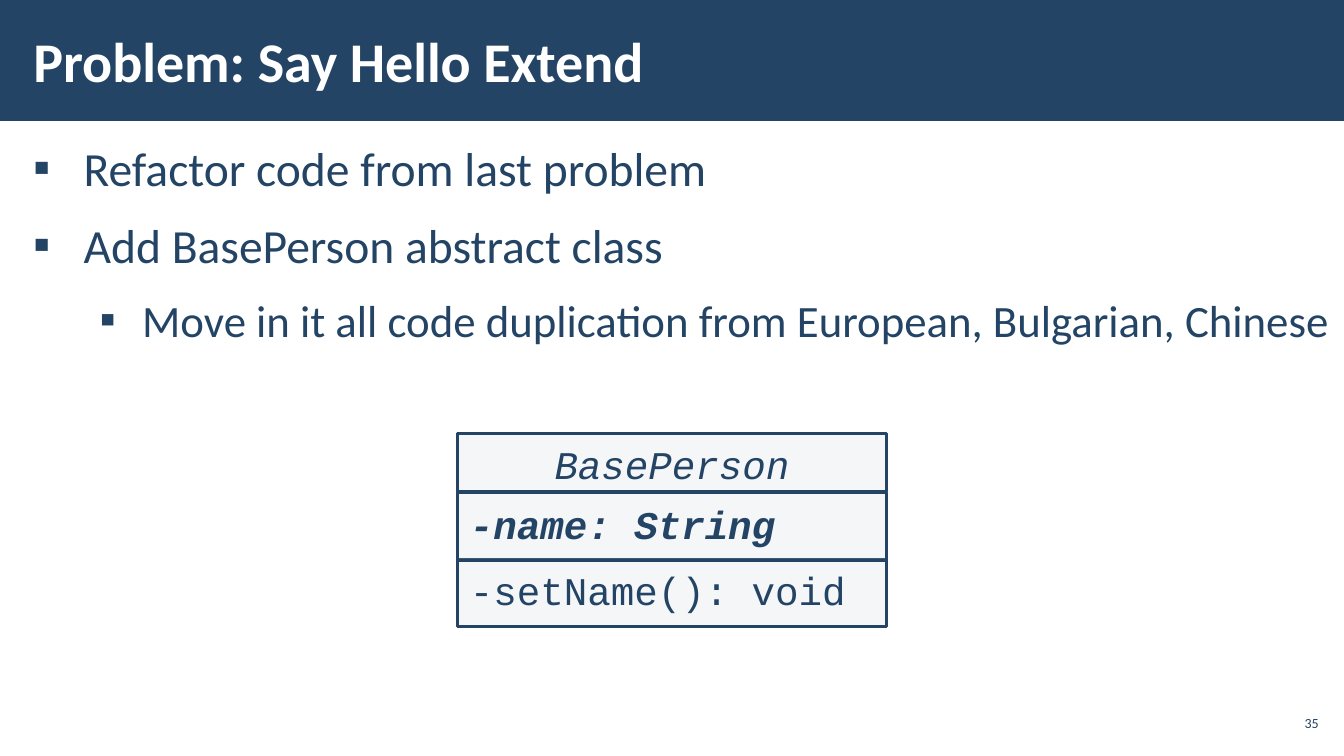
import pptx
import pptx.util
import pptx.dml.color
import pptx.enum.shapes
import pptx.enum.text
import pptx.oxml.ns
import lxml.etree

PX = 9144  # EMU per px, 100 px to the inch
NAVY = "234465"
ALIGN = pptx.enum.text.PP_ALIGN
ANCHOR = pptx.enum.text.MSO_ANCHOR


def paint(color_format, hex_color):
    color_format.rgb = pptx.dml.color.RGBColor.from_string(hex_color)


def format_text(shape, insets, anchor, size, name="Calibri", color=NAVY, align=ALIGN.LEFT):
    frame = shape.text_frame
    frame.word_wrap = True
    frame.auto_size = pptx.enum.text.MSO_AUTO_SIZE.NONE
    frame.vertical_anchor = anchor
    frame.margin_left = frame.margin_right = insets[0] * PX
    frame.margin_top = frame.margin_bottom = insets[1] * PX
    for paragraph in frame.paragraphs:
        paragraph.alignment = align
        for run in paragraph.runs:
            run.font.size = pptx.util.Pt(size)
            run.font.name = name
            paint(run.font.color, color)


presentation = pptx.Presentation()
presentation.slide_width = 1333 * PX
presentation.slide_height = 750 * PX
slide = presentation.slides.add_slide(presentation.slide_layouts[1])
title, body = slide.placeholders

# Header band, placed behind the title
band = slide.shapes.add_shape(
    pptx.enum.shapes.MSO_SHAPE.RECTANGLE, 0, 0, 1333 * PX, 120 * PX)
band.shadow.inherit = False
band.fill.solid()
paint(band.fill.fore_color, NAVY)
band.line.fill.background()
slide.shapes._spTree.insert(2, band._element)

# Title
title.left, title.top, title.width, title.height = 21 * PX, 11 * PX, 1039 * PX, 97 * PX
title.text_frame.text = "Problem: Say Hello Extend"
format_text(title, (12, 4), ANCHOR.MIDDLE, 40, color="FFFFFF")
title.text_frame.paragraphs[0].runs[0].font.bold = True

# Bulleted list: text, level, left margin, hanging indent, size
bullets = [
    ("Refactor code from last problem", 0, 50, 50, 34),
    ("Add BasePerson abstract class", 0, 50, 50, 34),
    ("Move in it all code duplication from European, Bulgarian, Chinese", 1, 108, 42, 32),
]
body.left, body.top, body.width, body.height = 21 * PX, 131 * PX, 1312 * PX, 569 * PX
body.text_frame.text = "\n".join(bullet[0] for bullet in bullets)
format_text(body, (12, 4), ANCHOR.TOP, 34)
for index, (text, level, margin, hanging, size) in enumerate(bullets):
    paragraph = body.text_frame.paragraphs[index]
    paragraph.level = level
    paragraph.line_spacing = 1.05
    paragraph.space_before = pptx.util.Pt(6 if index else 0)
    paragraph.space_after = pptx.util.Pt(6)
    properties = paragraph._p.get_or_add_pPr()
    properties.set("marL", str(margin * PX))
    properties.set("indent", str(-hanging * PX))
    bullet_font = lxml.etree.SubElement(properties, pptx.oxml.ns.qn("a:buFont"))
    bullet_font.set("typeface", "Wingdings")
    bullet_font.set("typeface", "Calibri")
    bullet_mark = lxml.etree.SubElement(properties, pptx.oxml.ns.qn("a:buChar"))
    bullet_mark.set("char", "▪")
    paragraph.runs[0].font.size = pptx.util.Pt(size)

# Class diagram: text, top, height, alignment, bold, italic
compartments = [
    ("BasePerson", 430, 58, ALIGN.CENTER, False, True),
    ("-setName(): void", 555, 67, ALIGN.LEFT, False, False),
    ("-name: String", 489, 67, ALIGN.LEFT, True, True),
]
for text, top, height, align, bold, italic in compartments:
    compartment = slide.shapes.add_shape(
        pptx.enum.shapes.MSO_SHAPE.RECTANGLE, 454 * PX, top * PX, 425 * PX, height * PX)
    compartment.shadow.inherit = False
    compartment.fill.solid()
    paint(compartment.fill.fore_color, "C2C7D2")
    fill_color = compartment._element.spPr.find(".//" + pptx.oxml.ns.qn("a:srgbClr"))
    lxml.etree.SubElement(fill_color, pptx.oxml.ns.qn("a:alpha")).set("val", "15000")
    paint(compartment.line.color, NAVY)
    compartment.line.width = pptx.util.Pt(2)
    compartment.text_frame.text = text
    format_text(compartment, (12, 12), ANCHOR.TOP, 28, "Courier New", align=align)
    paragraph = compartment.text_frame.paragraphs[0]
    paragraph.line_spacing = pptx.util.Pt(30)
    paragraph.runs[0].font.bold = bold
    paragraph.runs[0].font.italic = italic

# Slide number
number = slide.shapes.add_textbox(1265 * PX, 700 * PX, 47 * PX, 34 * PX)
number.text_frame.text = "35"
format_text(number, (4, 4), ANCHOR.MIDDLE, 10, align=ALIGN.RIGHT)

presentation.save("out.pptx")
